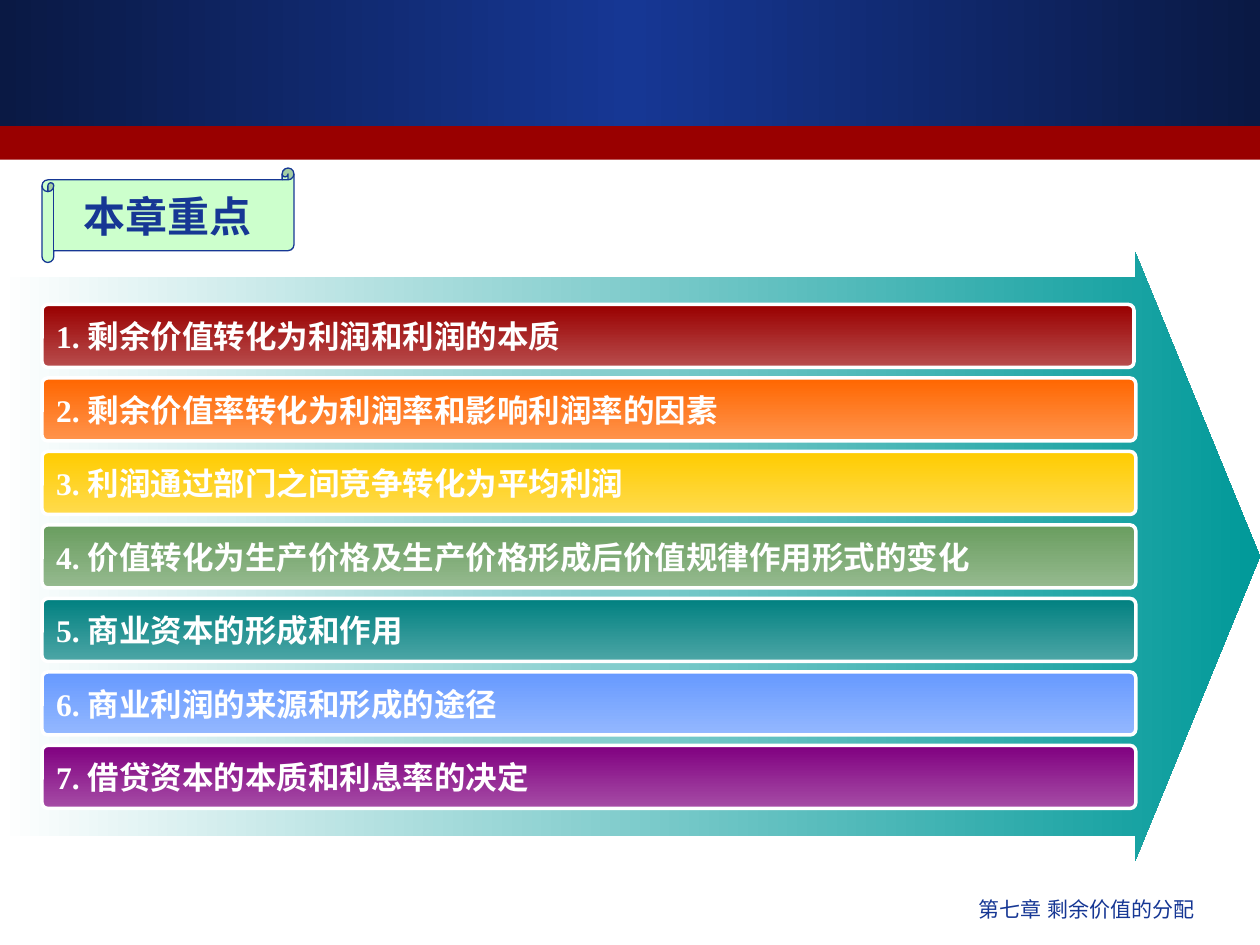
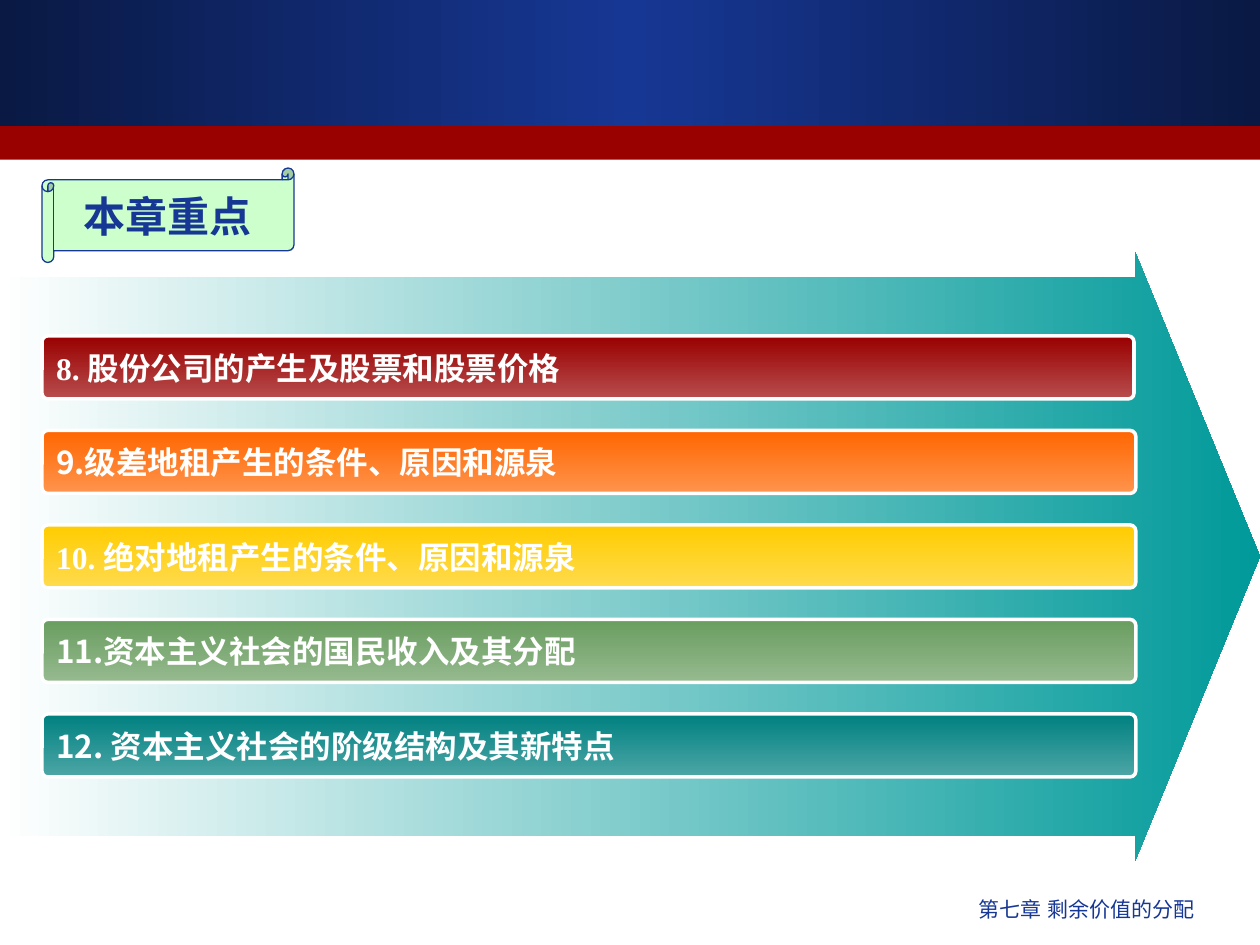
from copy import deepcopy

from lxml.etree import SubElement
from pptx import Presentation
from pptx.dml.color import RGBColor
from pptx.enum.shapes import MSO_SHAPE
from pptx.enum.text import MSO_ANCHOR, MSO_AUTO_SIZE, PP_ALIGN
from pptx.oxml.ns import qn
from pptx.util import Pt

WHITE = RGBColor(0xFF, 0xFF, 0xFF)
NAVY = RGBColor(0x16, 0x37, 0x94)
DARK_NAVY = RGBColor(0x0A, 0x19, 0x44)
RED = RGBColor(0x99, 0x00, 0x00)
TEAL = RGBColor(0x00, 0x99, 0x99)
MINT = RGBColor(0xCC, 0xFF, 0xCC)
BAR_COLOURS = [
    RED,
    RGBColor(0xFF, 0x66, 0x00),
    RGBColor(0xFF, 0xCC, 0x00),
    RGBColor(0x69, 0x9D, 0x5F),
    RGBColor(0x00, 0x80, 0x80),
    RGBColor(0x66, 0x99, 0xFF),
    RGBColor(0x80, 0x00, 0x80),
]

CHINESE_FONT = "Noto Sans CJK SC"
NUMBER_FONT = "Times New Roman"
FOOTER_FONT = "DejaVu Sans"

TITLE = "本章重点"
FOOTER = "第七章 剩余价值的分配"
SCROLL = (24, 96, 144, 54)

FIRST_POINTS = [
    ("1. ", "剩余价值转化为利润和利润的本质"),
    ("2. ", "剩余价值率转化为利润率和影响利润率的因素"),
    ("3. ", "利润通过部门之间竞争转化为平均利润"),
    ("4. ", "价值转化为生产价格及生产价格形成后价值规律作用形式的变化"),
    ("5. ", "商业资本的形成和作用"),
    ("6. ", "商业利润的来源和形成的途径"),
    ("7. ", "借贷资本的本质和利息率的决定"),
]
SECOND_POINTS = [
    ("8. ", "股份公司的产生及股票和股票价格"),
    ("", "9.级差地租产生的条件、原因和源泉"),
    ("10. ", "绝对地租产生的条件、原因和源泉"),
    ("", "11.资本主义社会的国民收入及其分配"),
    ("", "12. 资本主义社会的阶级结构及其新特点"),
]


def lighten(colour):
    return RGBColor(*(int(channel * 0.7 + 77) for channel in colour))


def fill_gradient(shape, colours, angle=0):
    shape.fill.gradient()
    shape.fill.gradient_angle = angle
    stop_list = shape.fill._fill._gradFill.gsLst
    for _ in colours[2:]:
        stop_list.insert(1, deepcopy(stop_list[0]))
    for index, (stop, colour) in enumerate(zip(shape.fill.gradient_stops, colours)):
        stop.position = index / (len(colours) - 1)
        stop.color.rgb = colour


def add_box(page, kind, place, colours, angle=0, line=None, line_width=1):
    box = page.shapes.add_shape(kind, *map(Pt, place))
    box.shadow.inherit = False
    if len(colours) > 1:
        fill_gradient(box, colours, angle)
    else:
        box.fill.solid()
        box.fill.fore_color.rgb = colours[0]
    if line is None:
        box.line.fill.background()
    else:
        box.line.color.rgb = line
        box.line.width = Pt(line_width)
    return box


def format_span(span, font_name, size, colour, bold=False):
    span.font.name = font_name
    span.font.size = Pt(size)
    span.font.bold = bold
    span.font.color.rgb = colour
    SubElement(span._r.get_or_add_rPr(), qn("a:ea"), typeface=font_name)


def add_bands(page):
    add_box(page, MSO_SHAPE.RECTANGLE, (0, 0, 720, 72), [DARK_NAVY, NAVY, DARK_NAVY])
    add_box(page, MSO_SHAPE.RECTANGLE, (0, 72, 720, 19.2), [RED])


def add_footer(page):
    box = page.shapes.add_textbox(Pt(300), Pt(509), Pt(390), Pt(25))
    box.text_frame.word_wrap = True
    para = box.text_frame.paragraphs[0]
    para.text = FOOTER
    para.alignment = PP_ALIGN.RIGHT
    format_span(para.runs[0], FOOTER_FONT, 12, NAVY)


def add_arrow(page):
    arrow = add_box(page, MSO_SHAPE.RIGHT_ARROW, (0, 144, 720, 348), [WHITE, TEAL])
    arrow.adjustments[0] = 0.917
    arrow.adjustments[1] = 0.205


def add_bar(page, top, width, colour, number, wording):
    bar = add_box(page, MSO_SHAPE.ROUNDED_RECTANGLE, (24, top, width, 36),
                  [colour, lighten(colour)], 270, WHITE, 2)
    bar.adjustments[0] = 0.091
    frame = bar.text_frame
    frame.word_wrap = False
    frame.vertical_anchor = MSO_ANCHOR.MIDDLE
    para = frame.paragraphs[0]
    para.alignment = PP_ALIGN.LEFT
    for words, font_name in ((number, NUMBER_FONT), (wording, CHINESE_FONT)):
        if words:
            span = para.add_run()
            span.text = words
            format_span(span, font_name, 18, WHITE, True)


def add_title(page):
    add_box(page, MSO_SHAPE.HORIZONTAL_SCROLL, SCROLL, [MINT], line=NAVY, line_width=0.75)
    title = page.shapes.title
    title.left, title.top, title.width, title.height = map(Pt, SCROLL)
    page.shapes._spTree.append(title._element)
    frame = title.text_frame
    frame.text = TITLE
    frame.word_wrap = False
    frame.auto_size = MSO_AUTO_SIZE.NONE
    frame.vertical_anchor = MSO_ANCHOR.MIDDLE
    para = frame.paragraphs[0]
    para.alignment = PP_ALIGN.CENTER
    format_span(para.runs[0], CHINESE_FONT, 24, NAVY, True)


def add_page(deck, points, first_top, step):
    page = deck.slides.add_slide(deck.slide_layouts[5])
    add_bands(page)
    add_footer(page)
    add_arrow(page)
    for index, (number, wording) in enumerate(points):
        width = 625 if index else 624
        add_bar(page, first_top + index * step, width, BAR_COLOURS[index], number, wording)
    add_title(page)


def main():
    deck = Presentation()
    deck.slide_width = Pt(720)
    deck.slide_height = Pt(540)
    add_page(deck, FIRST_POINTS, 174, 42)
    add_page(deck, SECOND_POINTS, 192, 54)
    deck.save("out.pptx")


if __name__ == "__main__":
    main()
